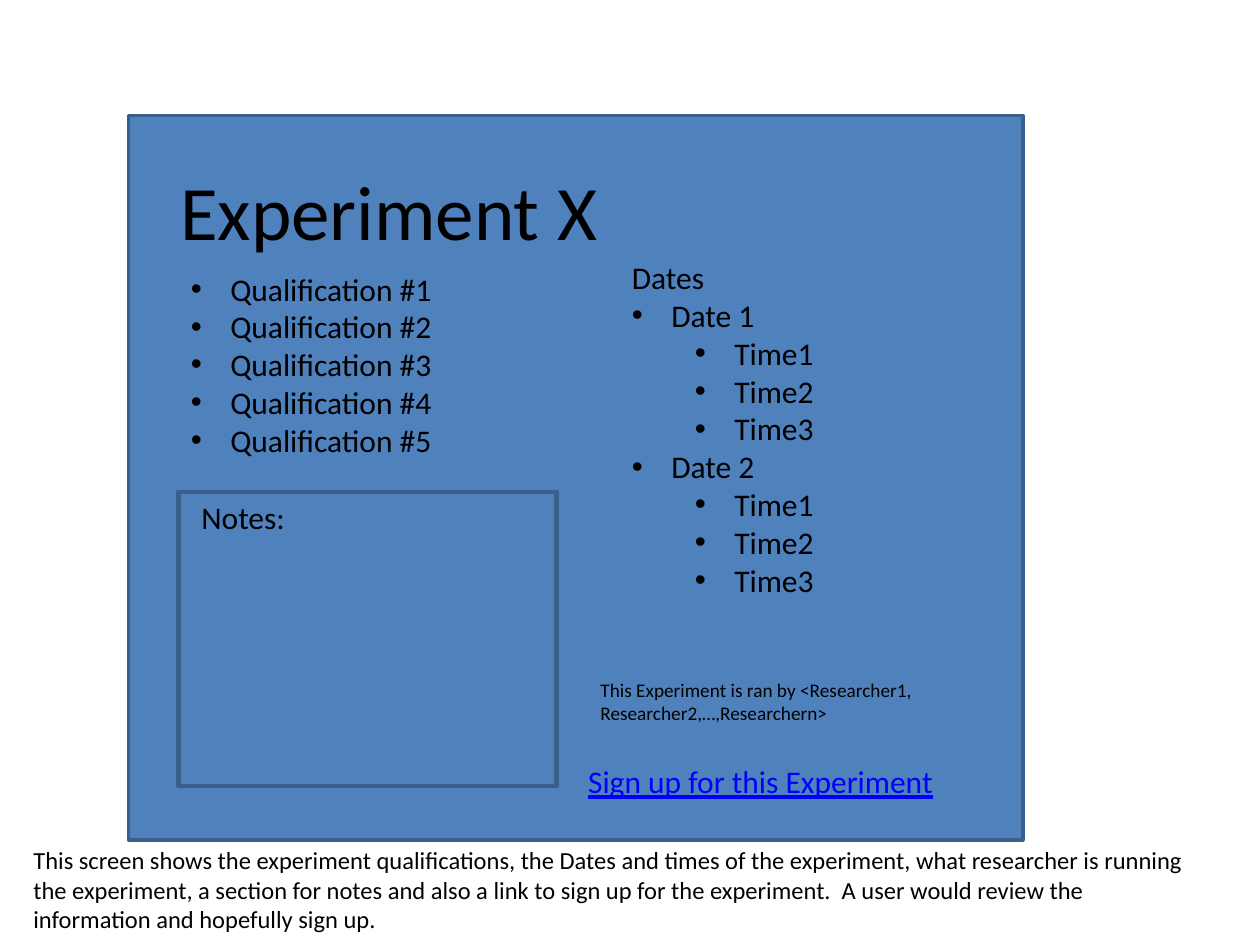
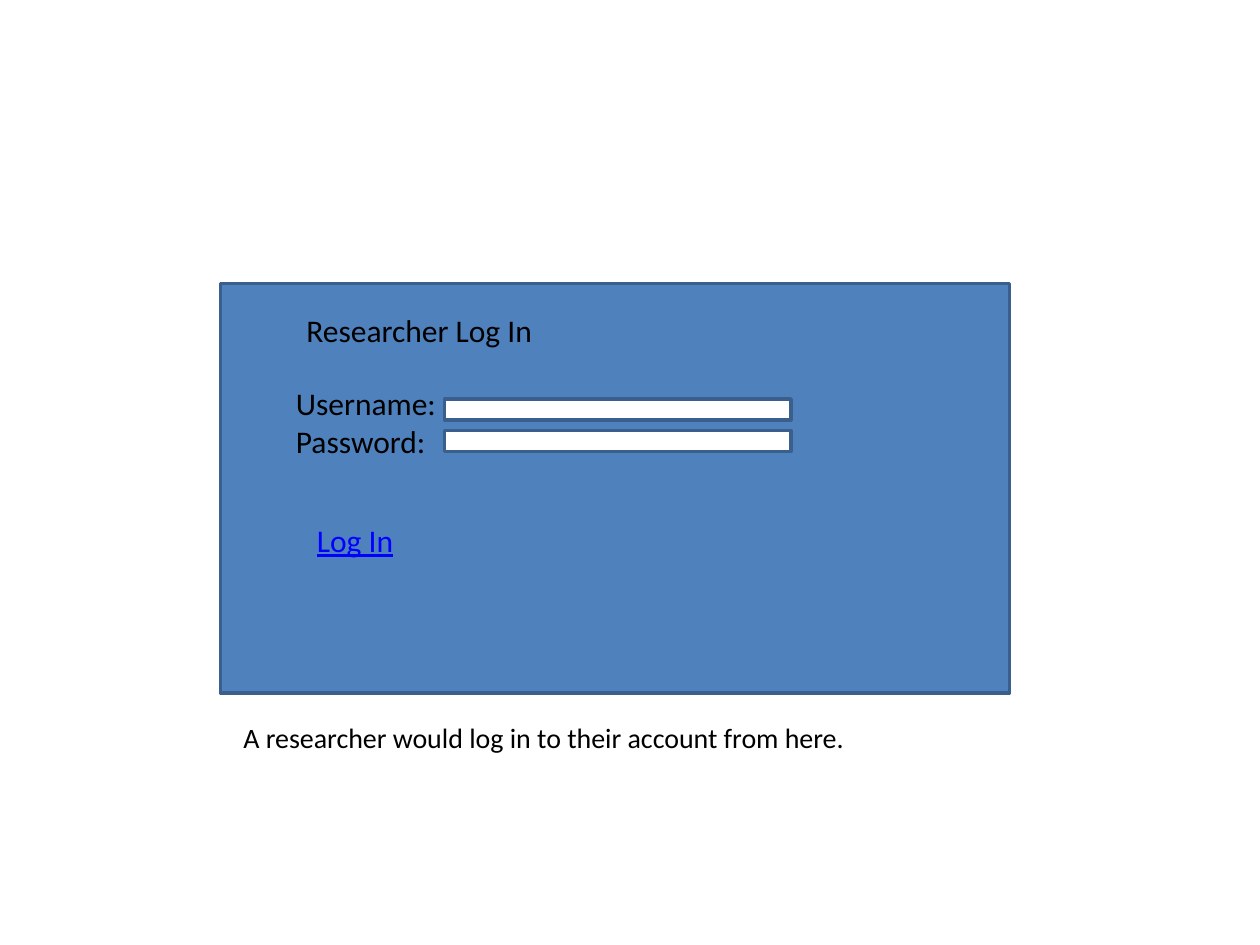
from lxml.etree import SubElement
from pptx import Presentation
from pptx.dml.color import RGBColor
from pptx.enum.shapes import MSO_SHAPE
from pptx.enum.text import MSO_AUTO_SIZE
from pptx.oxml.ns import qn
from pptx.util import Pt

FONT = "Calibri"
BLACK = "000000"
WHITE = "FFFFFF"
LINK_BLUE = "0000FF"
PANEL_BLUE = "4F81BD"
BORDER_BLUE = "3A5F8C"
BODY_SIZE = 18
BULLET_HANG = 22.5
LEVEL_STEP = 36


def color(hex_value):
    return RGBColor.from_string(hex_value)


def add_rectangle(page, left, top, width, height, fill=None, line_width=2):
    """Add a bordered rectangle, see-through when no fill is given."""
    shape = page.shapes.add_shape(
        MSO_SHAPE.RECTANGLE, Pt(left), Pt(top), Pt(width), Pt(height))
    shape.shadow.inherit = False
    if fill:
        shape.fill.solid()
        shape.fill.fore_color.rgb = color(fill)
    else:
        shape.fill.background()
    shape.line.color.rgb = color(BORDER_BLUE)
    shape.line.width = Pt(line_width)


def set_bullet(para, level):
    para.level = level
    properties = para._p.get_or_add_pPr()
    properties.set("marL", str(Pt(BULLET_HANG + level * LEVEL_STEP)))
    properties.set("indent", str(-Pt(BULLET_HANG)))
    SubElement(properties, qn("a:buFont"), typeface="Arial")
    SubElement(properties, qn("a:buChar"), char="•")


def add_text(page, left, top, width, height, lines, size=BODY_SIZE, link=False):
    """Add a text box; a line is plain text or a (bullet level, text) pair."""
    box = page.shapes.add_textbox(Pt(left), Pt(top), Pt(width), Pt(height))
    frame = box.text_frame
    frame.word_wrap = True
    frame.auto_size = MSO_AUTO_SIZE.SHAPE_TO_FIT_TEXT
    for index, line in enumerate(lines):
        para = frame.add_paragraph() if index else frame.paragraphs[0]
        level, text = (None, line) if isinstance(line, str) else line
        if level is not None:
            set_bullet(para, level)
        span = para.add_run()
        span.text = text
        span.font.name = FONT
        span.font.size = Pt(size)
        span.font.color.rgb = color(LINK_BLUE if link else BLACK)
        if link:
            span.font.underline = True


def build_experiment_page(page):
    qualifications = [(0, f"Qualification #{number}") for number in range(1, 6)]
    dates = ["Dates"]
    for date in (1, 2):
        dates.append((0, f"Date {date}"))
        dates += [(1, f"Time{time}") for time in (1, 2, 3)]

    add_rectangle(page, 73.5, 66, 511, 414, PANEL_BLUE)
    add_text(page, 96, 90, 546, 60.5, ["Experiment X"], size=44)
    add_text(page, 102, 150.5, 267, 116.5, qualifications)
    add_text(page, 108, 281, 198, 29, ["Notes:"])
    add_rectangle(page, 102, 281, 216, 168, line_width=2.5)
    add_text(page, 329, 432, 252, 30, ["Sign up for this Experiment"], link=True)
    add_text(page, 336, 384, 198, 34,
             ["This Experiment is ran by <Researcher1, "
              "Researcher2,…,Researchern>"], size=11)
    add_text(page, 354, 144, 192, 204, dates)
    add_text(page, 12, 479.5, 684, 58.5,
             ["This screen shows the experiment qualifications, the Dates and "
              "times of the experiment, what researcher is running the "
              "experiment, a section for notes and also a link to sign up for "
              "the experiment.  A user would review the information and "
              "hopefully sign up."], size=14)


def build_login_page(page):
    add_rectangle(page, 126, 162, 451, 234, PANEL_BLUE)
    add_text(page, 168, 174, 282, 29, ["Researcher Log In"])
    for field_top in (228, 246):
        add_rectangle(page, 254, field_top, 198, 12, WHITE)
    add_text(page, 162, 216, 126, 51, ["Username:", "Password:"])
    add_text(page, 174, 294, 192, 29, ["Log In"], link=True)
    add_text(page, 132, 408, 360, 26.5,
             ["A researcher would log in to their account from here."], size=16)


def main():
    deck = Presentation()
    deck.slide_width, deck.slide_height = Pt(720), Pt(540)
    blank = deck.slide_layouts[6]
    for build_page in (build_experiment_page, build_login_page):
        build_page(deck.slides.add_slide(blank))
    deck.save("out.pptx")


if __name__ == "__main__":
    main()
